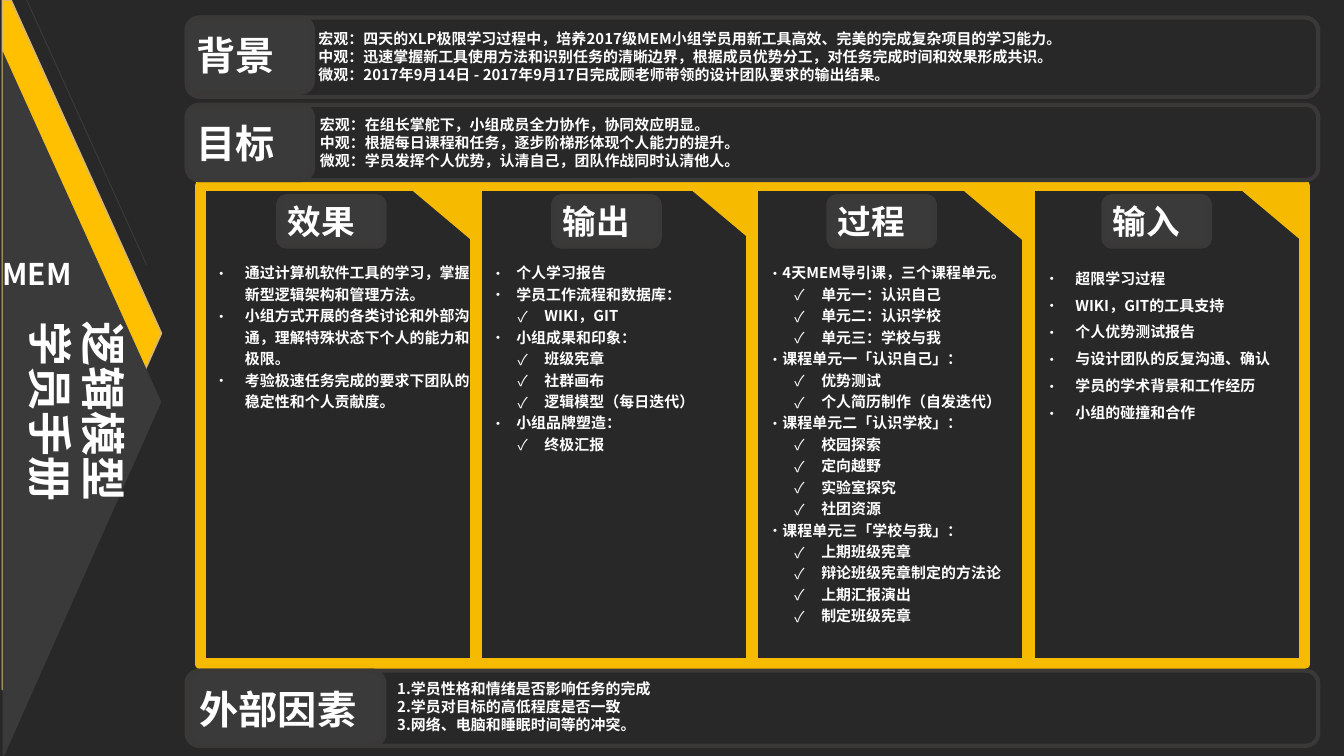
from lxml.etree import SubElement as Sub
from pptx import Presentation
from pptx.dml.color import RGBColor as RGB
from pptx.enum.shapes import MSO_CONNECTOR as Conn, MSO_SHAPE as Kind
from pptx.enum.text import MSO_ANCHOR as Anchor, MSO_AUTO_SIZE as Auto, PP_ALIGN as Align
from pptx.oxml.ns import qn
from pptx.util import Pt

DARK = RGB(0x28, 0x28, 0x28)
GRAY = RGB(0x3A, 0x3A, 0x3A)
EDGE = RGB(0x3B, 0x38, 0x38)
GOLD = RGB(0xF6, 0xBB, 0x00)
AMBER = RGB(0xFF, 0xC0, 0x01)
SAND = RGB(0xDB, 0xB7, 0x6C)
WHITE = RGB(0xFF, 0xFF, 0xFF)
FONT = "Noto Sans CJK SC"
TICK = "✓"

ROWS = [
    ("目标", 56.2, 40.3, 100, 67.7, (167.8, 58.3, 525.6, 40.3), [
        "宏观：在组长掌舵下，小组成员全力协作，协同效应明显。",
        "中观：根据每日课程和任务，逐步阶梯形体现个人能力的提升。",
        "微观：学员发挥个人优势，认清自己，团队作战同时认清他人。"]),
    ("背景", 9.4, 42.5, 100, 67.7, (167, 12.2, 553, 40.3), [
        "宏观：四天的XLP极限学习过程中，培养2017级MEM小组学员用新工具高效、完美的完成复杂项目的学习能力。",
        "中观：迅速掌握新工具使用方法和识别任务的清晰边界，根据成员优势分工，对任务完成时间和效果形成共识。",
        "微观：2017年9月14日 - 2017年9月17日完成顾老师带领的设计团队要求的输出结果。"]),
    ("外部因素", 359.3, 40.3, 101.5, 104.4, (209.2, 360.7, 147.6, 40.3), [
        "1.学员性格和情绪是否影响任务的完成",
        "2.学员对目标的高低程度是否一致",
        "3.网络、电脑和睡眠时间等的冲突。"]),
]

COLS = [
    ("效果", 252.7, 97, 16.6, 1.2, [
        "通过计算机软件工具的学习，掌握新型逻辑架构和管理方法。",
        "小组方式开展的各类讨论和外部沟通，理解特殊状态下个人的能力和极限。",
        "考验极速任务完成的要求下团队的稳定性和个人贡献度。"]),
    ("输出", 402.5, 124, 13.7, 1.2, [
        "个人学习报告", "学员工作流程和数据库：", "✓WIKI，GIT",
        "小组成果和印象：", "✓班级宪章", "✓社群画布", "✓逻辑模型（每日迭代）",
        "小组品牌塑造：", "✓终极汇报"]),
    ("过程", 547.9, 230, 7.2, 1.2, [
        "4天MEM导引课，三个课程单元。",
        "✓单元一：认识自己", "✓单元二：认识学校", "✓单元三：学校与我",
        "课程单元一「认识自己」：", "✓优势测试", "✓个人简历制作（自发迭代）",
        "课程单元二「认识学校」：", "✓校园探索", "✓定向越野", "✓实验室探究", "✓社团资源",
        "课程单元三「学校与我」：", "✓上期班级宪章", "✓辩论班级宪章制定的方法论",
        "✓上期汇报演出", "✓制定班级宪章"]),
    ("输入", 697, 146, 16.6, 1.5, [
        "超限学习过程", "WIKI，GIT的工具支持", "个人优势测试报告",
        "与设计团队的反复沟通、确认", "学员的学术背景和工作经历", "小组的碰撞和合作"]),
]


def paint(shape, fill=None, line=None, width=1):
    """Set fill and outline, and drop the shadow."""
    shape.shadow.inherit = False
    if fill is None:
        shape.fill.background()
    else:
        shape.fill.solid()
        shape.fill.fore_color.rgb = fill
    if line is None:
        shape.line.fill.background()
    else:
        shape.line.color.rgb = line
        shape.line.width = Pt(width)


def box(slide, kind, area, **style):
    """Add a preset shape."""
    paint(slide.shapes.add_shape(kind, *map(Pt, area)), **style)


def poly(slide, dots, **style):
    """Add a closed outline through the given points."""
    first, *rest = [(Pt(x), Pt(y)) for x, y in dots]
    pen = slide.shapes.build_freeform(*first)
    pen.add_line_segments(rest, close=True)
    paint(pen.convert_to_shape(), **style)


def rule(slide, start, end):
    """Add a thin gray line."""
    line = slide.shapes.add_connector(Conn.STRAIGHT, *map(Pt, start + end))
    line.line.color.rgb = GRAY
    line.line.width = Pt(0.5)
    Sub(line._element.spPr, qn("a:effectLst"))


def bullet(para, mark, left, hang):
    """Give a paragraph a bullet with a hanging indent."""
    props = para._p.get_or_add_pPr()
    props.set("marL", str(Pt(left)))
    props.set("indent", str(-Pt(hang)))
    Sub(props, qn("a:buFont"), typeface=FONT)
    Sub(props, qn("a:buChar"), char=mark)


def text(slide, area, lines, size=8, anchor=Anchor.TOP, align=Align.LEFT,
         wrap=True, turn=0, space=None, indent=None):
    """Add a text box, with bullets when an indent is given."""
    shape = slide.shapes.add_textbox(*map(Pt, area))
    shape.rotation = turn
    frame = shape.text_frame
    frame.word_wrap = wrap
    frame.auto_size = Auto.SHAPE_TO_FIT_TEXT
    frame.vertical_anchor = anchor
    frame.margin_left = frame.margin_right = Pt(3.6)
    frame.margin_top = frame.margin_bottom = Pt(3.6)
    for at, line in enumerate(lines):
        para = frame.add_paragraph() if at else frame.paragraphs[0]
        para.alignment = align
        if space:
            para.line_spacing = space
        if indent and line.startswith(TICK):
            para.level = 1
            bullet(para, TICK, 28.8, 14.4)
        elif indent:
            bullet(para, "•", indent, indent)
        run = para.add_run()
        run.text = line.removeprefix(TICK)
        font = run.font
        font.name, font.size, font.bold = FONT, Pt(size), True
        font.color.rgb = WHITE
        Sub(run._r.get_or_add_rPr(), qn("a:ea"), typeface=FONT)


def badge(slide, area, label, spot, size):
    """Add a gray rounded tab and its heading."""
    box(slide, Kind.ROUNDED_RECTANGLE, area, fill=GRAY, line=EDGE, width=2.25)
    text(slide, spot, [label], size=size, anchor=Anchor.MIDDLE)


def grid(slide):
    """Draw the gold column frames and their folded corners."""
    for at in range(len(COLS)):
        box(slide, Kind.RECTANGLE, (107.2 + 148 * at, 99.4, 147.6, 256.3),
            line=GOLD, width=6)
    for _, right, *_ in COLS:
        poly(slide, [(right, 99.4), (right, 128.2), (right - 34.2, 99.4)],
             fill=GOLD, line=GOLD)


def bands(slide):
    """Draw the wide rows with their headings and notes."""
    for _, top, high, *_ in ROWS:
        box(slide, Kind.ROUNDED_RECTANGLE, (100, top, 606.2, high),
            line=EDGE, width=2.25)
    for label, top, _, left, wide, spot, lines in ROWS:
        badge(slide, (left, top, wide, 40.3), label,
              (left + 1.8, top + 2.2, wide - 3.6, 36), 21)
        text(slide, spot, lines)


def side(slide):
    """Draw the arrow panel at the left with the title."""
    poly(slide, [(1.4, 0), (5.8, 0), (86.4, 178.6), (1.4, 369.4)],
         fill=AMBER, line=SAND)
    poly(slide, [(1.4, 27.4), (86.4, 215.3), (2.2, 405), (1.4, 405)], fill=GRAY)
    rule(slide, (78.5, 141.8), (13.7, -1.4))
    text(slide, (-106.6, 183.6, 288, 73.4), ["逻辑模型", "学员手册"],
         size=24, align=Align.CENTER, turn=90)
    text(slide, (-2.2, 133.2, 45.4, 25.9), ["MEM"], size=16, wrap=False)


def lists(slide):
    """Fill each column with its heading and bullets."""
    for at, (label, _, high, indent, space, lines) in enumerate(COLS):
        text(slide, (111 + 148.3 * at, 136, 148.3, high), lines,
             space=space, indent=indent)
        left = 149 + 147.4 * at
        badge(slide, (left, 105.1, 57, 27), label, (left + 1.4, 102.4, 54.2, 32.4), 18)


def main():
    """Build the slide and save it."""
    deck = Presentation()
    deck.slide_width, deck.slide_height = Pt(720), Pt(405)
    slide = deck.slides.add_slide(deck.slide_layouts[6])
    slide.background.fill.solid()
    slide.background.fill.fore_color.rgb = DARK
    grid(slide)
    bands(slide)
    side(slide)
    lists(slide)
    deck.save("out.pptx")


if __name__ == "__main__":
    main()
